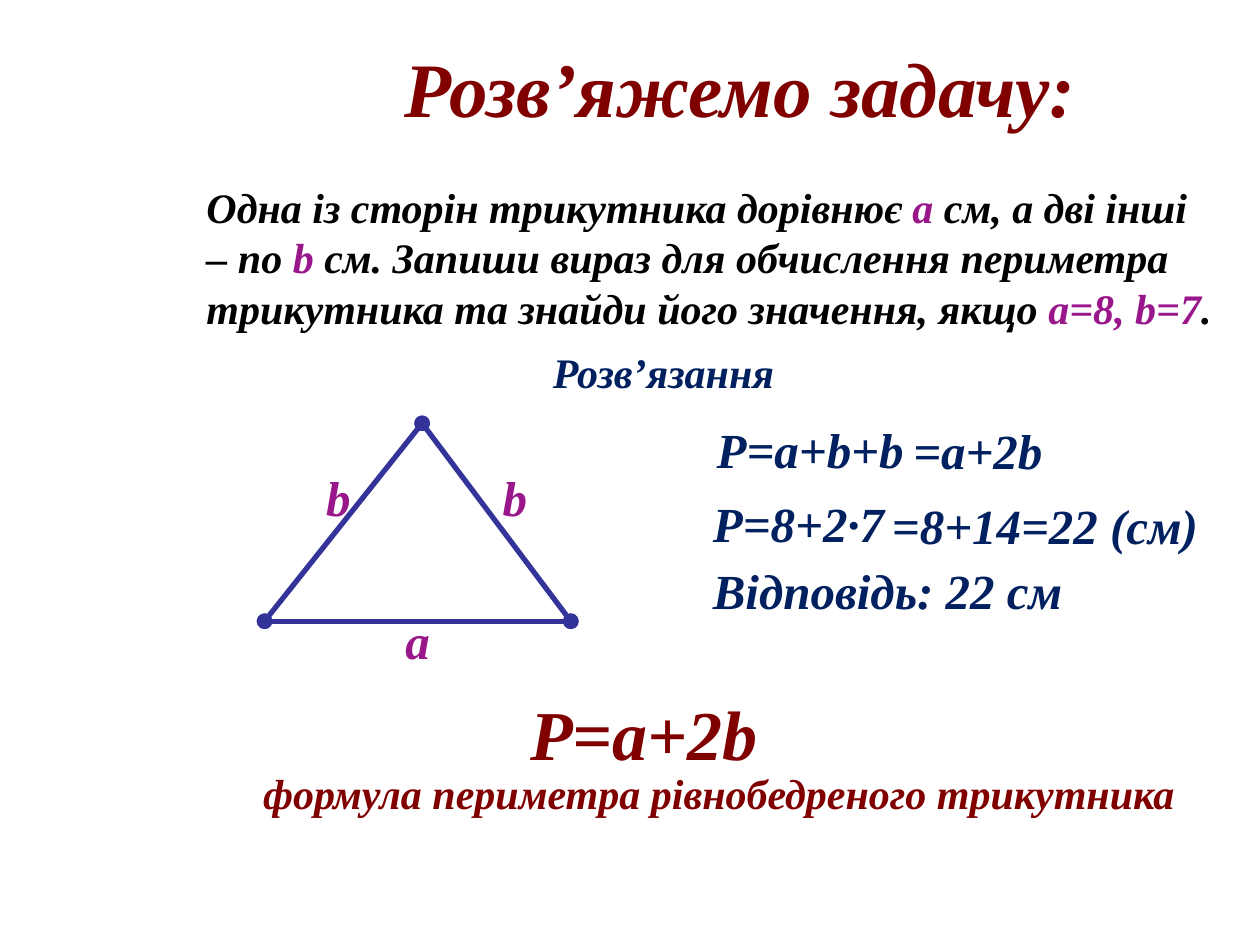
"""Build a slide that solves an isosceles triangle perimeter problem."""
from lxml.etree import SubElement
from pptx import Presentation
from pptx.dml.color import RGBColor
from pptx.enum.shapes import MSO_CONNECTOR
from pptx.enum.text import MSO_ANCHOR, MSO_AUTO_SIZE, PP_ALIGN
from pptx.oxml.ns import qn
from pptx.util import Pt

COLORS = {"maroon": "800000", "black": "000000", "purple": "99178A",
          "navy": "002060", "side": "333399"}
FONT = {"name": "Times New Roman", "bold": True, "italic": True}

TITLE = ("Розв’яжемо задачу:", (163.4, 19.4, 519.1, 60.5), 44, "maroon")
PROBLEM_BOX = (110.9, 100.1, 589.7, 94.3)
PROBLEM = [
    ("Одна із сторін трикутника дорівнює ", "black"),
    ("а", "purple"),
    (" см, а дві інші – по ", "black"),
    ("b", "purple"),
    (" см. Запиши вираз для обчислення периметра трикутника "
     "та знайди його значення, якщо ", "black"),
    ("а=8, b=7", "purple"),
    (".", "black"),
]
LABELS = [
    ("Розв’язання", (308.9, 194.4, 142.6, 36), 24, "navy"),
    ("а", (224.6, 345.6, 28.8, 41), 28, "purple"),
    ("b", (179.3, 263.5, 28.8, 41), 28, "purple"),
    ("b", (280.1, 263.5, 28.8, 41), 28, "purple"),
    ("P=a+b+b", (402.5, 236.2, 122.4, 41), 28, "navy"),
    ("=a+2b", (514.8, 236.9, 89.3, 41), 28, "navy"),
    ("P=8+2·7", (400.3, 278.6, 113.8, 41), 28, "navy"),
    ("=8+14=22 (cм)", (502.6, 279.4, 191.5, 41), 28, "navy"),
    ("Відповідь: 22 см", (400.3, 316.8, 216, 41), 28, "navy"),
    ("P=a+2b", (295.9, 391, 145.4, 55.4), 40, "maroon"),
    ("формула периметра рівнобедреного трикутника",
     (143.3, 434.9, 540.7, 36), 24, "maroon"),
]
APEX, LEFT, RIGHT = (241.2, 241.9), (151.2, 355), (326.2, 355)
SIDES = [(APEX, LEFT), (APEX, RIGHT), (LEFT, RIGHT)]


def add_text(slide, runs, box, size, wrap=False):
    shape = slide.shapes.add_textbox(*map(Pt, box))
    frame = shape.text_frame
    frame.word_wrap = wrap
    frame.auto_size = MSO_AUTO_SIZE.SHAPE_TO_FIT_TEXT
    for text, color in runs:
        run = frame.paragraphs[0].add_run()
        run.text = text
        for name, value in {**FONT, "size": Pt(size)}.items():
            setattr(run.font, name, value)
        run.font.color.rgb = RGBColor.from_string(COLORS[color])
    return frame


def add_side(slide, start, end):
    connector = slide.shapes.add_connector(
        MSO_CONNECTOR.STRAIGHT, *map(Pt, start + end))
    connector.line.width = Pt(3)
    connector.line.color.rgb = RGBColor.from_string(COLORS["side"])
    outline = connector.line._get_or_add_ln()
    for tag in ("a:headEnd", "a:tailEnd"):
        SubElement(outline, qn(tag), type="oval")
    SubElement(connector._element.spPr, qn("a:effectLst"))


def main():
    presentation = Presentation()
    presentation.slide_width, presentation.slide_height = Pt(720), Pt(540)
    slide = presentation.slides.add_slide(presentation.slide_layouts[6])

    text, box, size, color = TITLE
    frame = add_text(slide, [(text, color)], box, size, wrap=True)
    frame.vertical_anchor = MSO_ANCHOR.MIDDLE
    frame.paragraphs[0].alignment = PP_ALIGN.CENTER

    add_text(slide, PROBLEM, PROBLEM_BOX, 24, wrap=True)
    for start, end in SIDES:
        add_side(slide, start, end)
    for text, box, size, color in LABELS:
        add_text(slide, [(text, color)], box, size)

    presentation.save("out.pptx")


if __name__ == "__main__":
    main()
